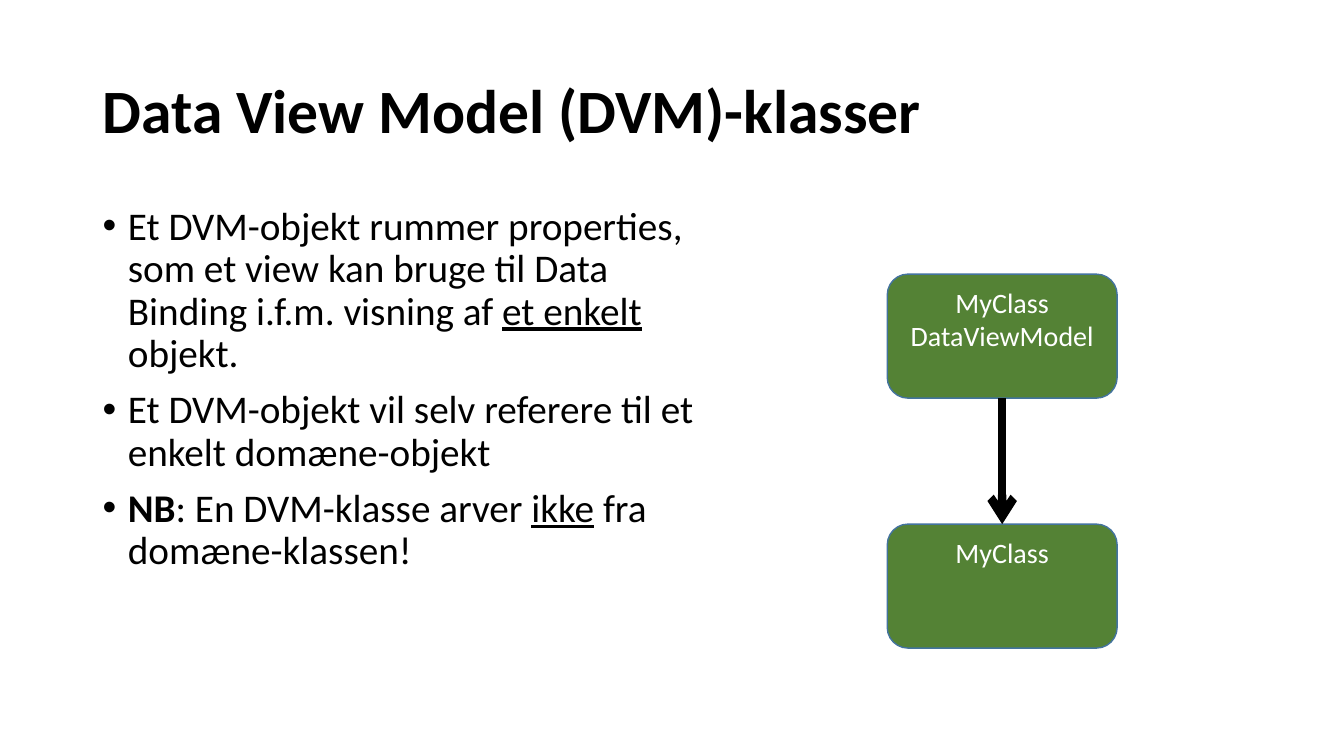
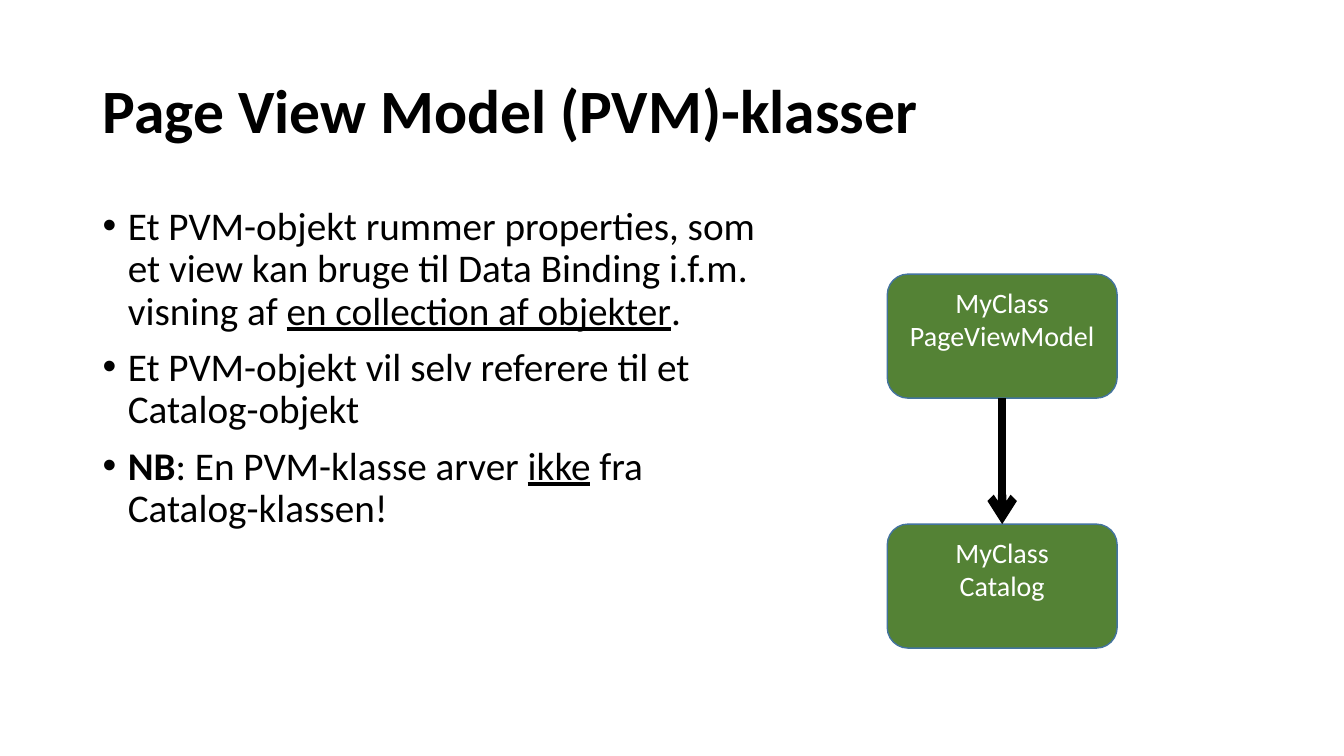
from pptx import Presentation
from pptx.dml.color import RGBColor
from pptx.enum.shapes import MSO_CONNECTOR as CONN, MSO_SHAPE as SHAPE
from pptx.enum.text import MSO_ANCHOR as ANCHOR, PP_ALIGN as ALIGN
from pptx.oxml.ns import qn
from pptx.util import Inches, Pt
from lxml.etree import SubElement

BLACK = RGBColor(0x00, 0x00, 0x00)
WHITE = RGBColor(0xFF, 0xFF, 0xFF)
GREEN = RGBColor(0x54, 0x82, 0x35)
BLUE = RGBColor(0x43, 0x73, 0x9E)
FONT = "Calibri"
PLAIN, BOLD, UNDERLINE = range(3)

SLIDES = [
    {
        "title": "Data View Model (DVM)-klasser",
        "body_width": 6.21,
        "bullets": [
            [("Et DVM-objekt rummer properties, som et view kan bruge til "
              "Data Binding i.f.m. visning af ", PLAIN),
             ("et enkelt", UNDERLINE), (" objekt.", PLAIN)],
            [("Et DVM-objekt vil selv referere til et enkelt domæne-objekt", PLAIN)],
            [("NB", BOLD), (": En DVM-klasse arver ", PLAIN),
             ("ikke", UNDERLINE), (" fra domæne-klassen!", PLAIN)],
        ],
        "classes": ["MyClass\nDataViewModel", "MyClass"],
    },
    {
        "title": "Page View Model (PVM)-klasser",
        "body_width": 6.8,
        "bullets": [
            [("Et PVM-objekt rummer properties, som et view kan bruge til "
              "Data Binding i.f.m. visning af ", PLAIN),
             ("en collection af objekter", UNDERLINE), (".", PLAIN)],
            [("Et PVM-objekt vil selv referere til et Catalog-objekt", PLAIN)],
            [("NB", BOLD), (": En PVM-klasse arver ", PLAIN),
             ("ikke", UNDERLINE), (" fra Catalog-klassen!", PLAIN)],
        ],
        "classes": ["MyClass\nPageViewModel", "MyClass\nCatalog"],
    },
]

WIDTH, HEIGHT = 13.33, 7.5
MARGIN = 0.92
TITLE_TOP, TITLE_HEIGHT = 0.4, 1.45
BODY_TOP, BODY_HEIGHT = 2, 4.76
BOX_LEFT, BOX_TOP, BOX_WIDTH, BOX_HEIGHT = 8.8, 2.72, 2.28, 1.23
BOX_PITCH = 2.48
BOTTOM_SITE, TOP_SITE = 2, 0


def set_font(item, size, color):
    item.font.name = FONT
    item.font.size = Pt(size)
    item.font.color.rgb = color


def add_text(s, *place):
    tf = s.shapes.add_textbox(*map(Inches, place)).text_frame
    tf.word_wrap = True
    return tf


def add_title(s, text):
    tf = add_text(s, MARGIN, TITLE_TOP, WIDTH - 2 * MARGIN, TITLE_HEIGHT)
    tf.vertical_anchor = ANCHOR.MIDDLE
    tf.text = text
    p = tf.paragraphs[0]
    p.line_spacing = 0.9
    set_font(p.runs[0], 44, BLACK)
    p.runs[0].font.bold = True


def add_bullets(s, bullets, width):
    tf = add_text(s, MARGIN, BODY_TOP, width, BODY_HEIGHT)
    for i, parts in enumerate(bullets):
        p = tf.add_paragraph() if i else tf.paragraphs[0]
        pPr = p._p.get_or_add_pPr()
        pPr.set("marL", str(Inches(0.25)))
        pPr.set("indent", str(-Inches(0.25)))
        SubElement(pPr, qn("a:buFont")).set("typeface", "Arial")
        SubElement(pPr, qn("a:buChar")).set("char", "•")
        p.line_spacing = 0.9
        if i:
            p.space_before = Pt(10)
        for text, style in parts:
            r = p.add_run()
            r.text = text
            set_font(r, 28, BLACK)
            if style == BOLD:
                r.font.bold = True
            elif style == UNDERLINE:
                r.font.underline = True


def add_class_box(s, row, text):
    place = (BOX_LEFT, BOX_TOP + row * BOX_PITCH, BOX_WIDTH, BOX_HEIGHT)
    sp = s.shapes.add_shape(SHAPE.ROUNDED_RECTANGLE, *map(Inches, place))
    sp.shadow.inherit = False
    sp.fill.solid()
    sp.fill.fore_color.rgb = GREEN
    sp.line.color.rgb = BLUE
    sp.line.width = Pt(1)
    tf = sp.text_frame
    tf.word_wrap = True
    tf.vertical_anchor = ANCHOR.TOP
    tf.text = text
    for p in tf.paragraphs:
        p.alignment = ALIGN.CENTER
        set_font(p.runs[0], 20, WHITE)
    return sp


def add_arrow(s, source, target):
    arrow = s.shapes.add_connector(CONN.STRAIGHT, 0, 0, 0, 0)
    arrow.begin_connect(source, BOTTOM_SITE)
    arrow.end_connect(target, TOP_SITE)
    arrow.line.color.rgb = BLACK
    arrow.line.width = Pt(6)
    SubElement(arrow.line._get_or_add_ln(), qn("a:tailEnd")).set("type", "arrow")
    SubElement(arrow._element.spPr, qn("a:effectLst"))


def main():
    prs = Presentation()
    prs.slide_width, prs.slide_height = Inches(WIDTH), Inches(HEIGHT)
    for content in SLIDES:
        s = prs.slides.add_slide(prs.slide_layouts[6])
        add_title(s, content["title"])
        add_bullets(s, content["bullets"], content["body_width"])
        boxes = [add_class_box(s, row, text)
                 for row, text in enumerate(content["classes"])]
        add_arrow(s, *boxes)
    prs.save("out.pptx")


if __name__ == "__main__":
    main()
